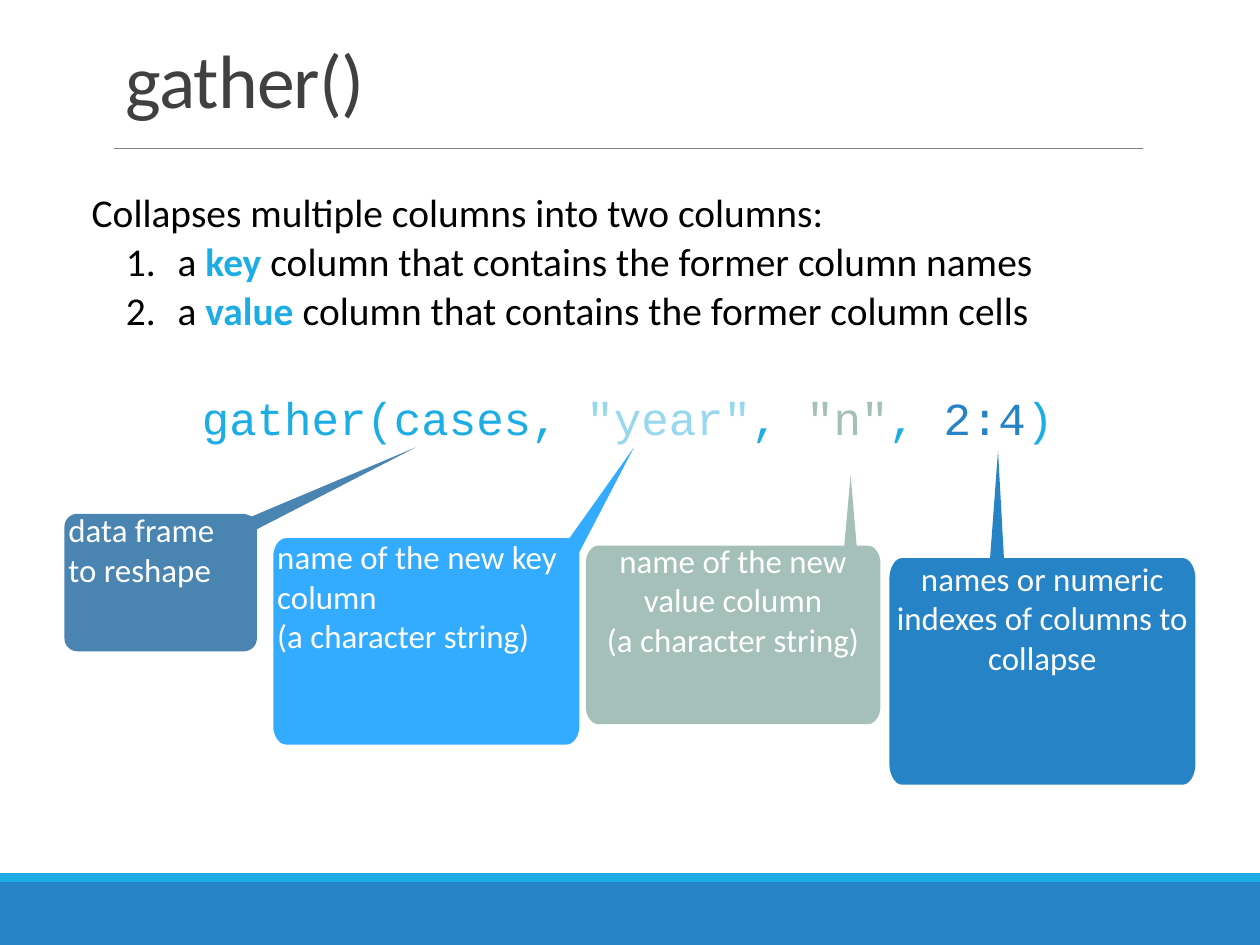
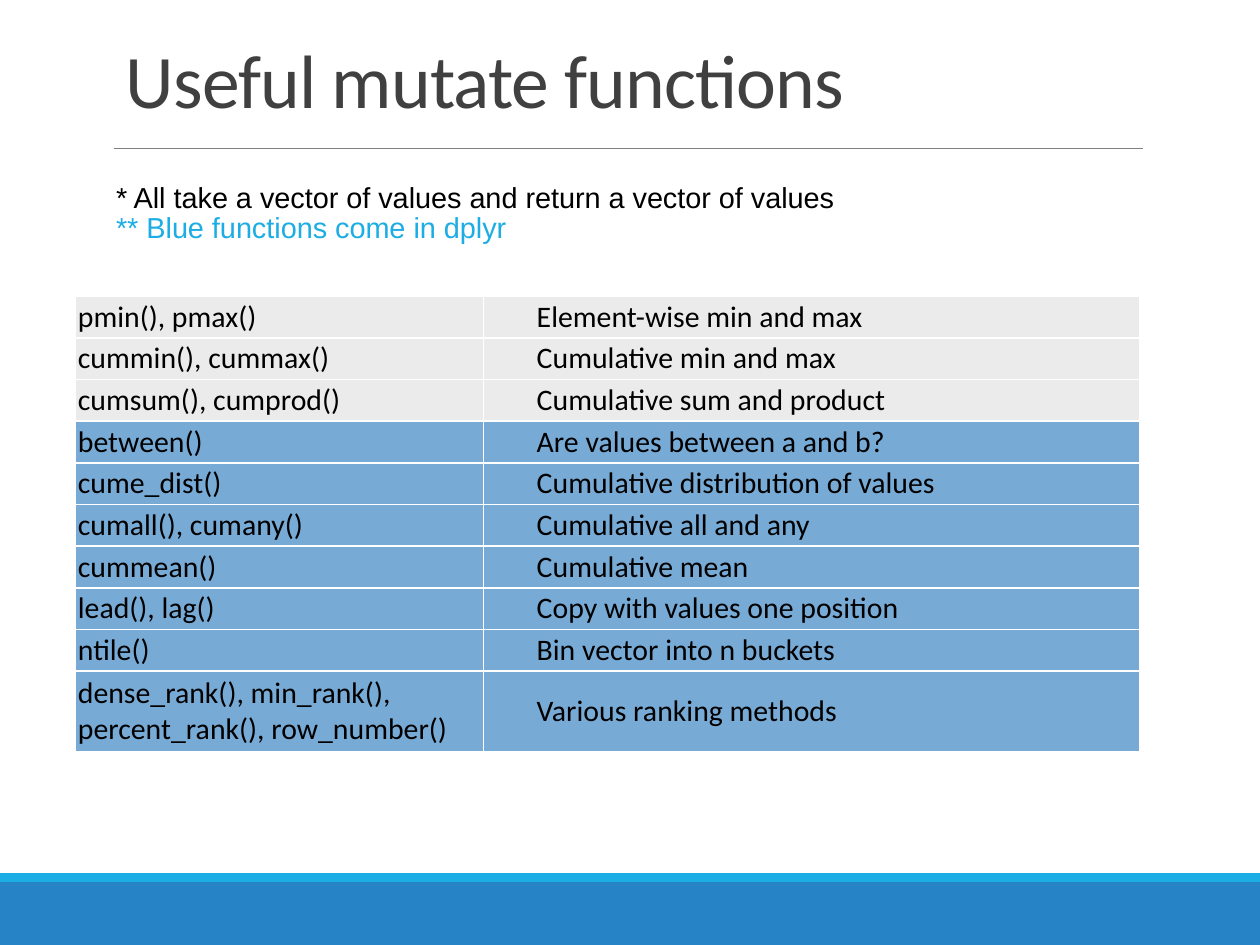
from math import cos, pi, sin

from lxml.etree import SubElement as Sub
from pptx import Presentation
from pptx.dml.color import RGBColor as Rgb
from pptx.enum.shapes import MSO_CONNECTOR as Link, MSO_SHAPE as Kind
from pptx.enum.text import MSO_ANCHOR as Anchor, PP_ALIGN as Align
from pptx.oxml.ns import qn
from pptx.util import Cm, Pt


class Theme:
    blue, sky, pale, sage = "2683C6", "1CADE4", "97D8F0", "A4C0B8"
    navy, azure = "005493", "0096FF"
    grey, steel = "EBEBEB", "78AAD6"
    black, white, ink, rule = "000000", "FFFFFF", "404040", "808080"
    title = {"name": "Calibri", "size": Pt(43.2)}
    code = {"name": "Courier New", "size": Pt(26.2)}
    body = {"name": "Calibri", "size": Pt(22.5)}
    label = {"name": "Calibri", "size": Pt(18.8)}
    cell = {"name": "Calibri", "size": Pt(17)}
    note = {"name": "Arial", "size": Pt(16.5)}


def paint(fill, tint, alpha=100):
    """Fill with a solid colour; alpha is the opacity in percent."""
    fill.solid()
    fill.fore_color.rgb = Rgb.from_string(tint)
    if alpha < 100:
        clr = fill._xPr.find(".//" + qn("a:srgbClr"))
        Sub(clr, qn("a:alpha"), val=str(alpha * 1000))


def write(frame, paras, font, tint, form=None, pad=None, anchor=Anchor.TOP):
    """Write paragraphs, each a list of (text, colour or None, bold) runs."""
    frame.word_wrap = True
    frame.vertical_anchor = anchor
    if pad is not None:
        for side in SIDES:
            setattr(frame, "margin_" + side, Cm(pad))
    for i, runs in enumerate(paras):
        para = frame.add_paragraph() if i else frame.paragraphs[0]
        for key, val in {"alignment": Align.LEFT, **(form or {})}.items():
            setattr(para, key, val)
        for text, own, bold in runs:
            run = para.add_run()
            run.text = text
            for key, val in {**font, "bold": bold}.items():
                setattr(run.font, key, val)
            run.font.color.rgb = Rgb.from_string(own or tint)
    return frame


SIDES = ("left", "right", "top", "bottom")
deck = Presentation()
deck.slide_width, deck.slide_height = Cm(25.4), Cm(19.05)

# Shared frame: bands, rule and title
slides = []
for name in ("gather()", "Useful mutate functions"):
    slide = deck.slides.add_slide(deck.slide_layouts[6])
    slides.append(slide)
    for top, tall, tint in ((17.78, 1.27, Theme.blue), (17.6, 0.18, Theme.sky)):
        band = slide.shapes.add_shape(Kind.RECTANGLE, 0, Cm(top), Cm(25.4), Cm(tall))
        band.shadow.inherit = False
        paint(band.fill, tint)
        band.line.fill.background()
    rule = slide.shapes.add_connector(Link.STRAIGHT, Cm(2.29), Cm(2.99), Cm(23.04), Cm(2.99))
    rule.line.color.rgb = Rgb.from_string(Theme.rule)
    rule.line.width = Pt(0.5)
    Sub(rule._element.spPr, qn("a:effectLst"))
    box = slide.shapes.add_textbox(Cm(2.29), Cm(0.79), Cm(20.96), Cm(1.83))
    head = write(box.text_frame, [[(name, None, False)]], Theme.title, Theme.ink,
                 {"line_spacing": 0.85}, anchor=Anchor.BOTTOM)
    head.paragraphs[0].runs[0]._r.get_or_add_rPr().set("spc", "-50")

gather, mutate = slides

# The call, with each argument in its own colour
box = gather.shapes.add_textbox(Cm(3.99), Cm(7.77), Cm(17.42), Cm(1.78))
parts = (("gather(cases, ", None), ('"year"', Theme.pale), (", ", None),
         ('"n"', Theme.sage), (", ", None), ("2:4", Theme.blue), (")", None))
write(box.text_frame, [[(text, tint, False) for text, tint in parts]],
      Theme.code, Theme.sky, {"space_before": Pt(4.5)}, 0.08)

# What the call does
box = gather.shapes.add_textbox(Cm(1.8), Cm(4.01), Cm(21.92), Cm(3.2))
lines = [[("Collapses multiple columns into two columns:", None, False)]]
for word, rest in (("key", "names"), ("value", "cells")):
    lines.append([("a ", None, False), (word, Theme.sky, True),
                  (f" column that contains the former column {rest}", None, False)])
frame = write(box.text_frame, lines, Theme.body, Theme.black,
              {"line_spacing": 0.7, "space_before": Pt(9)}, 0.05)
for para in frame.paragraphs[1:]:
    props = para._p.get_or_add_pPr()
    props.set("marL", str(Cm(1.73)))
    props.set("indent", str(Cm(-1.04)))
    Sub(props, qn("a:buAutoNum"), type="arabicPeriod")

# Callouts: body edges, corner height, tail points, fill, opacity, alignment, text
calls = (
    ((1.3, 10.36, 5.18, 13.13), 0.26,
     [(4.93, 10.36), (5.08, 10.41), (8.38, 9.02), (5.18, 10.67)],
     Theme.navy, 71, Align.LEFT, ["data frame", "to reshape"]),
    ((5.51, 10.85, 11.68, 15.01), 0.38,
     [(11.48, 10.85), (12.78, 9.02), (11.68, 11.13)],
     Theme.azure, 80, Align.LEFT, ["name of the new key column", "(a character string)"]),
    ((11.81, 11, 17.75, 14.6), 0.36,
     [(17.02, 11), (17.15, 9.58), (17.27, 11)],
     Theme.sage, 100, Align.CENTER, ["name of the new value column", "(a character string)"]),
    ((17.93, 11.25, 24.1, 15.82), 0.43,
     [(19.96, 11.25), (20.12, 9.09), (20.24, 11.25)],
     Theme.blue, 100, Align.CENTER, ["names or numeric indexes of columns to collapse"]),
)
wide, steps = 0.26, 8
for (left, top, right, base), high, tail, tint, alpha, align, texts in calls:
    mids = ((left + wide, top + high), (right - wide, top + high),
            (right - wide, base - high), (left + wide, base - high))
    arcs = []
    for turn, (x, y) in enumerate(mids):
        angles = [pi + (turn + n / steps) * pi / 2 for n in range(steps + 1)]
        arcs.append([(x + wide * cos(a), y + high * sin(a)) for a in angles])
    if tail[-1][0] == right:  # the tail takes the place of the top right corner
        arcs[1] = []
    dots = [(Cm(x), Cm(y)) for x, y in arcs[0] + tail + arcs[1] + arcs[2] + arcs[3]]
    pen = gather.shapes.build_freeform(*dots[0])
    pen.add_line_segments(dots[1:], close=True)
    call = pen.convert_to_shape()
    call.shadow.inherit = False
    paint(call.fill, tint, alpha)
    call.line.fill.background()
    write(call.text_frame, [[(text, None, False)] for text in texts], Theme.label,
          Theme.white, {"alignment": align}, 0.08, Anchor.MIDDLE)

# Table of functions; those from dplyr are on blue
rows = (
    ("pmin(), pmax()", "Element-wise min and max"),
    ("cummin(), cummax()", "Cumulative min and max"),
    ("cumsum(), cumprod()", "Cumulative sum and product"),
    ("between()", "Are values between a and b?"),
    ("cume_dist()", "Cumulative distribution of values"),
    ("cumall(), cumany()", "Cumulative all and any"),
    ("cummean()", "Cumulative mean"),
    ("lead(), lag()", "Copy with values one position"),
    ("ntile()", "Bin vector into n buckets"),
    ("dense_rank(), min_rank(), percent_rank(), row_number()", "Various ranking methods"),
)
plain = 3
grid = mutate.shapes.add_table(len(rows), 2, Cm(1.52), Cm(5.97), Cm(21.46), Cm(9.19)).table
grid.first_row = grid.horz_banding = False
for col, span in zip(grid.columns, (8.23, 13.23)):
    col.width = Cm(span)
for r, texts in enumerate(rows):
    grid.rows[r].height = Cm(1.63 if r == len(rows) - 1 else 0.84)
    for c, text in enumerate(texts):
        cell = grid.cell(r, c)
        cell.vertical_anchor = Anchor.MIDDLE
        for side in SIDES:
            setattr(cell, "margin_" + side, Cm(0.05))
        para = cell.text_frame.paragraphs[0]
        para.alignment = Align.LEFT
        if c:
            para._p.get_or_add_pPr().set("indent", str(Cm(1.02)))
        run = para.add_run()
        run.text = text
        for key, val in Theme.cell.items():
            setattr(run.font, key, val)
        run.font.color.rgb = Rgb.from_string(Theme.black)
        props = cell._tc.get_or_add_tcPr()
        for edge in "LRTB":
            line = Sub(props, qn("a:ln" + edge), w=str(Pt(1)))
            Sub(Sub(line, qn("a:solidFill")), qn("a:srgbClr"), val=Theme.white)
        paint(cell.fill, *((Theme.grey, 50) if r < plain else (Theme.steel, 49)))

# Notes above the table
box = mutate.shapes.add_textbox(Cm(2.29), Cm(3.94), Cm(17.04), Cm(2.03))
notes = [[("* All take a vector of values and return a vector of values", None, False)],
         [("** Blue functions come in dplyr", Theme.sky, False)]]
write(box.text_frame, notes, Theme.note, Theme.black,
      {"line_spacing": 0.4, "space_before": Pt(9)}, 0.05)

deck.save("out.pptx")
